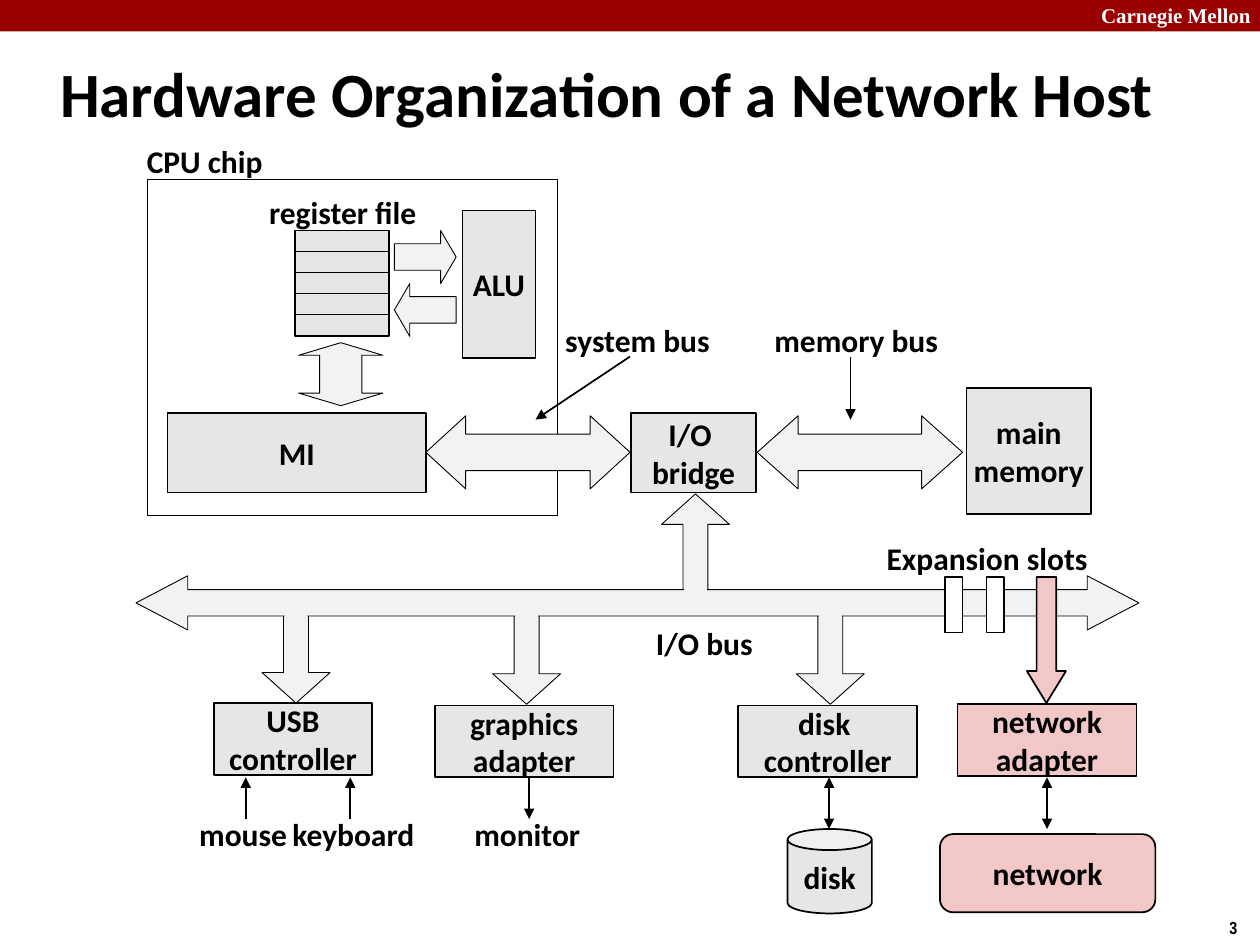
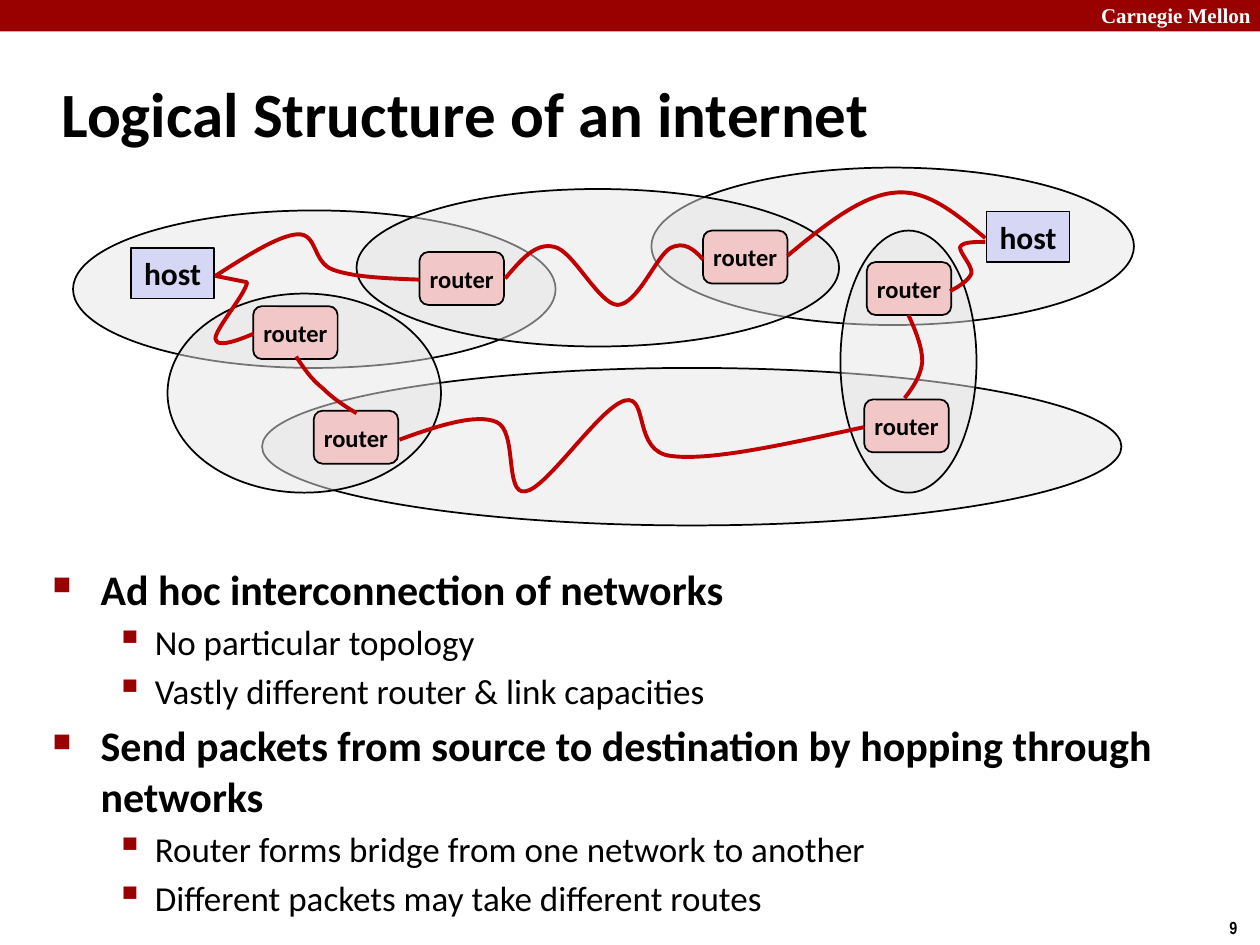
from dataclasses import dataclass
from typing import Any

from lxml import etree
from pptx import Presentation
from pptx.dml.color import RGBColor
from pptx.enum.shapes import MSO_CONNECTOR, MSO_SHAPE
from pptx.enum.text import MSO_ANCHOR, MSO_AUTO_SIZE, PP_ALIGN
from pptx.oxml.ns import qn
from pptx.util import Inches, Pt

RECT, ROUNDED = MSO_SHAPE.RECTANGLE, MSO_SHAPE.ROUNDED_RECTANGLE
OVAL, CAN = MSO_SHAPE.OVAL, MSO_SHAPE.CAN
UP, DOWN = MSO_SHAPE.UP_ARROW, MSO_SHAPE.DOWN_ARROW
LEFT, RIGHT = MSO_SHAPE.LEFT_ARROW, MSO_SHAPE.RIGHT_ARROW
LEFT_RIGHT, UP_DOWN = MSO_SHAPE.LEFT_RIGHT_ARROW, MSO_SHAPE.UP_DOWN_ARROW
STRAIGHT = MSO_CONNECTOR.STRAIGHT
MIDDLE, TOP = MSO_ANCHOR.MIDDLE, MSO_ANCHOR.TOP
CENTER, ALIGN_LEFT = PP_ALIGN.CENTER, PP_ALIGN.LEFT
GROW = MSO_AUTO_SIZE.SHAPE_TO_FIT_TEXT

COLORS = {
    "band": "990000", "white": "FFFFFF", "black": "000000",
    "unit": "E6E6E6", "bus": "F2F2F2", "network": "F1C7C7",
    "host": "D6D6F5", "route": "C00000",
}
BODY_FONT = "Calibri"
BRANCH_ADJ = (0.367, 0.449)
LABEL_H = 0.4


def color(name):
    return RGBColor.from_string(COLORS[name])


def write(shape, lines, size=18, align=CENTER, anchor=MIDDLE, wrap=False,
          font=BODY_FONT, ink="black"):
    frame = shape.text_frame
    frame.word_wrap = wrap
    frame.vertical_anchor = anchor
    for i, line in enumerate(lines.split("\n")):
        paragraph = frame.paragraphs[0] if i == 0 else frame.add_paragraph()
        paragraph.alignment = align
        run = paragraph.add_run()
        run.text = line
        run.font.size, run.font.bold, run.font.name = Pt(size), True, font
        run.font.color.rgb = color(ink)


@dataclass
class Region:
    """Part of a slide; every position is relative to its left and top, in inches."""
    slide: Any
    left: float = 0
    top: float = 0

    def place(self, x, y):
        return Inches(self.left + x), Inches(self.top + y)

    def shape(self, preset, x, y, w, h, fill=None, line=1, text="", size=18,
              adj=(), alpha=None):
        shape = self.slide.shapes.add_shape(
            preset, *self.place(x, y), Inches(w), Inches(h))
        shape.shadow.inherit = False
        for i, value in enumerate(adj):
            shape.adjustments[i] = value
        if adj:
            # Guides of a double arrow need the names the preset expects
            for i, guide in enumerate(shape._element.spPr.iter(qn("a:gd")), 1):
                guide.set("name", f"adj{i}")
        if fill:
            shape.fill.solid()
            shape.fill.fore_color.rgb = color(fill)
        else:
            shape.fill.background()
        if alpha:
            rgb = shape._element.spPr.find(qn("a:solidFill")).find(qn("a:srgbClr"))
            etree.SubElement(rgb, qn("a:alpha"), val=str(alpha * 1000))
        if line:
            shape.line.color.rgb = color("black")
            shape.line.width = Pt(line)
        else:
            shape.line.fill.background()
        if text:
            write(shape, text, size)

    def unit(self, x, y, w, h, text="", fill="unit", preset=RECT, size=18):
        self.shape(preset, x, y, w, h, fill, text=text, size=size)

    def bus(self, preset, x, y, w, h, adj):
        self.shape(preset, x, y, w, h, "bus", 0.5, adj=adj)

    def label(self, text, x, y, w, h=LABEL_H, grow=True, **style):
        box = self.slide.shapes.add_textbox(
            *self.place(x, y), Inches(w), Inches(h))
        write(box, text, **style)
        if grow:
            box.text_frame.auto_size = GROW

    def arrow(self, start, end, both=False):
        line = self.slide.shapes.add_connector(
            STRAIGHT, *self.place(*start), *self.place(*end))
        line.line.color.rgb = color("black")
        line.line.width = Pt(1)
        properties = line._element.spPr
        for tip in ("a:headEnd", "a:tailEnd") if both else ("a:tailEnd",):
            etree.SubElement(properties.find(qn("a:ln")), qn(tip), type="triangle")
        etree.SubElement(properties, qn("a:effectLst"))

    def route(self, points):
        """Draw a start, any odd points as straight legs, then cubic curves by threes."""
        builder = self.slide.shapes.build_freeform(*self.place(*points[0]))
        builder.add_line_segments([self.place(*p) for p in points[1:]], close=False)
        curve = builder.convert_to_shape()
        # Every three remaining legs become two controls and an end
        legs = list(curve._element.spPr.iter(qn("a:lnTo")))
        for i in range(len(legs) % 3, len(legs), 3):
            cubic = etree.Element(qn("a:cubicBezTo"))
            legs[i].addprevious(cubic)
            for leg in legs[i:i + 3]:
                cubic.append(leg[0])
                leg.getparent().remove(leg)
        curve.shadow.inherit = False
        curve.fill.background()
        curve.line.color.rgb = color("route")
        curve.line.width = Pt(2.25)


def add_slide(deck, title, title_box, number):
    slide = deck.slides.add_slide(deck.slide_layouts[6])
    page = Region(slide)
    # Band, page number and title
    page.shape(RECT, 0, 0, 10, 0.25, "band", line=0)
    page.label("Carnegie Mellon", 8.64, -0.03, 1.43, 0.3, size=12, anchor=TOP,
               align=ALIGN_LEFT, wrap=True, font="Times New Roman", ink="white")
    page.label(number, 9.66, 7.23, 0.34, 0.27, size=10, anchor=TOP,
               align=ALIGN_LEFT, font="Arial Narrow")
    page.label(title, *title_box, grow=False, size=36, align=ALIGN_LEFT, wrap=True)
    return slide


def draw_cpu_chip(chip):
    chip.shape(RECT, 0, 0, 3.25, 2.67, line=0.25)
    chip.label("CPU chip", -0.11, -0.34, 1.13)
    chip.unit(0.16, 1.86, 2.05, 0.63, "MI")
    # Register file and ALU
    for row in range(5):
        chip.unit(1.17, 0.41 + row / 6, 0.75, 0.17)
    chip.label("register file", 0.86, 0.06, 1.38)
    for preset, y in ((RIGHT, 0.41), (LEFT, 0.83)):
        chip.bus(preset, 1.96, y, 0.49, 0.42, (0.5, 0.292))
    chip.unit(2.5, 0.25, 0.58, 1.17, "ALU")
    chip.bus(UP_DOWN, 1.2, 1.3, 0.67, 0.5, (0.5, 0.2))


def draw_memory_path(path):
    path.bus(LEFT_RIGHT, 0, 0.8, 1.62, 0.58, (0.5, 0.545))
    path.unit(1.63, 0.78, 0.99, 0.63, "I/O \nbridge")
    path.bus(LEFT_RIGHT, 2.63, 0.8, 1.63, 0.58, (0.5, 0.56))
    path.unit(4.29, 0.58, 0.99, 1, "main\nmemory")
    # Bus names with pointers
    path.label("system bus", 1, 0, 1.36)
    path.arrow((1.62, 0.33), (0.87, 0.83))
    path.label("memory bus", 2.66, 0, 1.51)
    path.arrow((3.37, 0.33), (3.37, 0.83))


def draw_io_bus(bus):
    # Branches go under the bus; patches then open the joints
    branches = ((UP, 4.17, 0, 0.83, 0.75), (DOWN, 1, 0.87, 0.79, 0.84),
                (DOWN, 2.83, 0.89, 0.78, 0.82), (DOWN, 5.24, 0.89, 0.78, 0.81))
    for preset, x, y, h, _ in branches:
        bus.bus(preset, x, y, 0.54, h, BRANCH_ADJ)
    bus.bus(LEFT_RIGHT, 0, 0.65, 7.96, 0.43, (0.486, 0.955))
    for _, x, _, _, joint_y in branches:
        bus.shape(RECT, x + 0.18, joint_y, 0.18, 0.17, "bus", line=0)
    bus.label("I/O bus", 4.02, 0.98, 0.98)
    # Expansion slots
    for x in (6.42, 6.75):
        bus.unit(x, 0.66, 0.14, 0.44, fill="white")
    bus.shape(DOWN, 7.07, 0.66, 0.31, 1, "network", adj=(0.5, 0.818))
    bus.label("Expansion slots", 5.85, 0.31, 1.81)


def draw_devices(devices):
    # Controllers and adapters
    for text, x, y, w, fill in (
            ("USB\ncontroller", 0, 0, 1.25, "unit"),
            ("graphics\nadapter", 1.75, 0.02, 1.42, "unit"),
            ("disk \ncontroller", 4.16, 0.02, 1.42, "unit"),
            ("network\nadapter", 5.9, 0.01, 1.42, "network")):
        devices.unit(x, y, w, 0.57, text, fill)
    # What is attached to them
    for x in (0.25, 1.08):
        devices.arrow((x, 0.92), (x, 0.59))
    devices.arrow((2.5, 0.59), (2.5, 0.92))
    for x in (4.88, 6.61):
        devices.arrow((x, 0.59), (x, 1), both=True)
    for text, x, w in (("mouse", -0.22, 0.9), ("keyboard", 0.52, 1.17),
                       ("monitor", 1.96, 1.05)):
        devices.label(text, x, 0.84, w)
    devices.unit(4.55, 1, 0.67, 0.67, "disk", preset=CAN)
    devices.unit(5.76, 1.04, 1.71, 0.62, "network", "network", ROUNDED)


NETWORKS = (
    (0.08, 0.37, 3.83, 1.25), (1.58, 1.62, 6.82, 1.25), (4.67, 0.03, 3.83, 1.25),
    (2.33, 0.2, 3.83, 1.25), (0.83, 1.03, 2.17, 1.58), (6.17, 0.53, 1.08, 2.08),
)
ROUTERS = ((1.51, 1.13), (1.99, 1.96), (2.83, 0.7),
           (5.08, 0.53), (6.36, 1.87), (6.38, 0.78))
HOSTS = ((7.33, 0.38), (0.54, 0.67))
ROUTES = (
    ((1.21, 0.89), (1.46, 0.94), (1.46, 1.02), (1.2, 1.32), (1.21, 1.39),
     (1.22, 1.46), (1.37, 1.41), (1.51, 1.35)),
    ((1.21, 0.89), (1.46, 0.73), (1.71, 0.57), (1.86, 0.56), (2.02, 0.55),
     (1.98, 0.78), (2.14, 0.84), (2.3, 0.9), (2.57, 0.91), (2.83, 0.92)),
    ((1.85, 1.53), (1.91, 1.62), (1.97, 1.71), (2.06, 1.78), (2.14, 1.86),
     (2.23, 1.92), (2.33, 1.98)),
    ((3.51, 0.91), (3.63, 0.77), (3.75, 0.62), (3.9, 0.66), (4.05, 0.69),
     (4.25, 1.11), (4.4, 1.12), (4.56, 1.12), (4.71, 0.73), (4.82, 0.67),
     (4.93, 0.61), (5.01, 0.68), (5.08, 0.76)),
    ((5.75, 0.73), (6.04, 0.49), (6.34, 0.25), (6.6, 0.23), (6.86, 0.2),
     (7.09, 0.4), (7.32, 0.59)),
    ((2.67, 2.19), (2.97, 2.08), (3.28, 1.98), (3.44, 2.05), (3.61, 2.12),
     (3.5, 2.63), (3.67, 2.6), (3.84, 2.58), (4.26, 1.93), (4.46, 1.88),
     (4.65, 1.83), (4.52, 2.29), (4.83, 2.32), (5.15, 2.36), (5.76, 2.22),
     (6.36, 2.09)),
    ((6.68, 1.86), (6.75, 1.77), (6.81, 1.68), (6.82, 1.57), (6.82, 1.46),
     (6.77, 1.33), (6.71, 1.2)),
    ((7.04, 1.01), (7.12, 0.97), (7.19, 0.92), (7.21, 0.87), (7.22, 0.81),
     (7.11, 0.7), (7.12, 0.66), (7.14, 0.62), (7.23, 0.62), (7.32, 0.62)),
)


def draw_internet(internet):
    for network in NETWORKS:
        internet.shape(OVAL, *network, "unit", alpha=50)
    for x, y in ROUTERS:
        internet.unit(x, y, 0.67, 0.42, "router", "network", ROUNDED, 14)
    for x, y in HOSTS:
        internet.unit(x, y, 0.66, 0.4, "host", "host")
    for points in ROUTES:
        internet.route(points)


POINTS = (
    (0, "Ad hoc interconnection of networks"),
    (1, "No particular topology"),
    (1, "Vastly different router & link capacities"),
    (0, "Send packets from source to destination by hopping through networks"),
    (1, "Router forms bridge from one network to another"),
    (1, "Different packets may take different routes"),
)
# Per level: text size, left margin, hanging indent, bullet, bullet size in %
LEVELS = ((24, 0.38, 0.38, "■", 60), (20, 0.81, 0.31, "▪", 110))


def draw_points(body, width, height):
    box = body.slide.shapes.add_textbox(
        *body.place(0, 0), Inches(width), Inches(height))
    frame = box.text_frame
    frame.word_wrap = True
    for i, (level, text) in enumerate(POINTS):
        size, margin, hanging, bullet, scale = LEVELS[level]
        paragraph = frame.paragraphs[0] if i == 0 else frame.add_paragraph()
        paragraph.level = level
        if i:
            paragraph.space_before = Pt(size * 0.2)
        properties = paragraph._p.get_or_add_pPr()
        properties.set("marL", str(Inches(margin)))
        properties.set("indent", str(-Inches(hanging)))
        tint = etree.SubElement(properties, qn("a:buClr"))
        etree.SubElement(tint, qn("a:srgbClr"), val=COLORS["band"])
        etree.SubElement(properties, qn("a:buSzPct"), val=str(scale * 1000))
        etree.SubElement(properties, qn("a:buChar"), char=bullet)
        run = paragraph.add_run()
        run.text = text
        run.font.size, run.font.bold, run.font.name = Pt(size), level == 0, BODY_FONT
        run.font.color.rgb = color("black")


def main():
    deck = Presentation()
    deck.slide_width, deck.slide_height = Inches(10), Inches(7.5)

    hardware = add_slide(deck, "Hardware Organization of a Network Host",
                         (0.38, 0.31, 9.53, 0.85), "3")
    draw_cpu_chip(Region(hardware, 1.17, 1.42))
    draw_memory_path(Region(hardware, 3.38, 2.5))
    draw_io_bus(Region(hardware, 1.08, 3.92))
    draw_devices(Region(hardware, 1.7, 5.58))

    structure = add_slide(deck, "Logical Structure of an internet",
                          (0.39, 0.48, 8.3, 0.83), "9")
    draw_points(Region(structure, 0.32, 4.42), 9.09, 2.3)
    draw_internet(Region(structure, 0.5, 1.3))
    deck.save("out.pptx")


if __name__ == "__main__":
    main()
